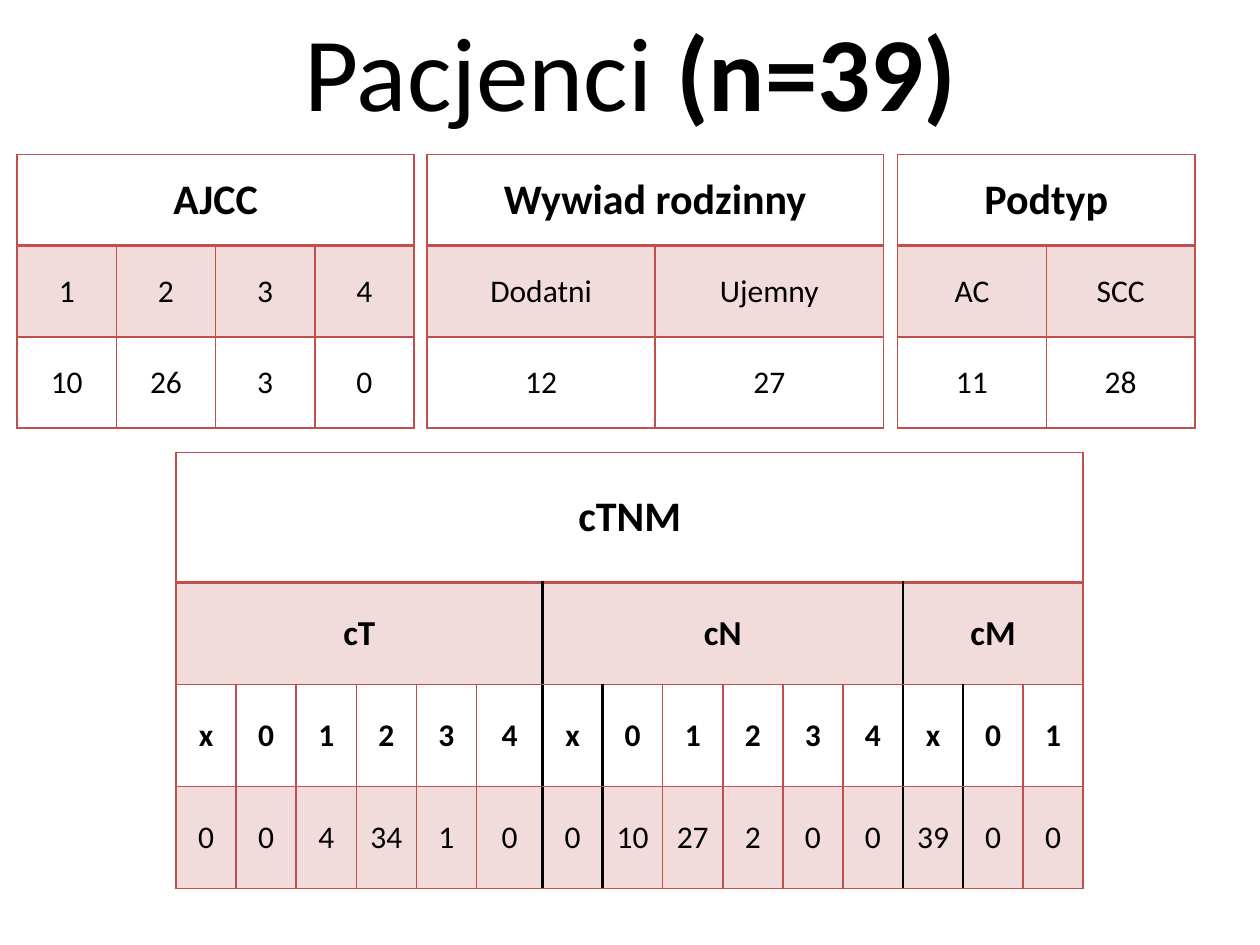
"""Builds a slide of patient characteristics: a title and four tables."""
from lxml import etree
from pptx import Presentation
from pptx.dml.color import RGBColor
from pptx.enum.text import MSO_ANCHOR, PP_ALIGN
from pptx.oxml.ns import qn
from pptx.util import Pt

CENTER = PP_ALIGN.CENTER
MIDDLE = MSO_ANCHOR.MIDDLE
FONT = "Calibri"
COLORS = {"text": "000000", "accent": "C0504D", "divider": "000000"}
TINT = 20

TITLE = [("Pacjenci", False), (" (n=39)", True)]
TOP, ROW = 88.3, 52.1
HEADER, GROUP, LABEL, VALUE = (24, True), (20, True), (18, True), (18, False)

TABLES = [
    {"at": (244, TOP), "cols": [130.4] * 2, "heights": [ROW] * 3,
     "tinted": {1}, "dividers": {}, "rows": [
         (HEADER, [("Wywiad rodzinny", 2)]),
         (VALUE, ["Dodatni", "Ujemny"]),
         (VALUE, ["12", "27"])]},
    {"at": (100.6, 258.5), "cols": [34.34] * 5 + [37.8] + [34.34] * 9,
     "heights": [74.2] + [58.4] * 3,
     "tinted": {1, 3}, "dividers": {6: 1, 12: 1, 7: 2, 13: 2}, "rows": [
         (HEADER, [("cTNM", 15)]),
         (GROUP, [("cT", 6), ("cN", 6), ("cM", 3)]),
         (LABEL, list("x01234x01234x01")),
         (VALUE, ["0", "0", "4", "34", "1", "0", "0", "10", "27", "2",
                  "0", "0", "39", "0", "0"])]},
    {"at": (512.9, TOP), "cols": [85] * 2, "heights": [ROW] * 3,
     "tinted": {1}, "dividers": {}, "rows": [
         (HEADER, [("Podtyp", 2)]),
         (VALUE, ["AC", "SCC"]),
         (VALUE, ["11", "28"])]},
    {"at": (9.8, TOP), "cols": [56.7] * 4, "heights": [ROW] * 3,
     "tinted": {1}, "dividers": {}, "rows": [
         (HEADER, [("AJCC", 4)]),
         (VALUE, ["1", "2", "3", "4"]),
         (VALUE, ["10", "26", "3", "0"])]},
]


def style_run(r, size, bold):
    r.font.name = FONT
    r.font.size = Pt(size)
    r.font.bold = bold
    r.font.color.rgb = RGBColor.from_string(COLORS["text"])


def add_title(slide):
    tf = slide.shapes.add_textbox(Pt(153.4), Pt(0), Pt(414), Pt(80)).text_frame
    tf.word_wrap = True
    p = tf.paragraphs[0]
    p.alignment = CENTER
    for text, bold in TITLE:
        r = p.add_run()
        r.text = text
        style_run(r, 60, bold)


def fill_cell(cell, tinted):
    if not tinted:
        cell.fill.background()
        return
    cell.fill.solid()
    cell.fill.fore_color.rgb = RGBColor.from_string(COLORS["accent"])
    color = cell._tc.tcPr.find(qn("a:solidFill"))[0]
    etree.SubElement(color, qn("a:alpha"), val=str(TINT * 1000))


def set_borders(cell, row, col, dividers):
    def vertical(edge):
        black = edge in dividers and row >= dividers[edge]
        return ("divider", 1.5) if black else ("accent", 1)

    borders = [("a:lnL", vertical(col)), ("a:lnR", vertical(col + 1)),
               ("a:lnT", ("accent", 2 if row == 1 else 1)),
               ("a:lnB", ("accent", 2 if row == 0 else 1))]
    for i, (tag, (color, width)) in enumerate(borders):
        ln = etree.Element(qn(tag), w=str(Pt(width)))
        fill = etree.SubElement(ln, qn("a:solidFill"))
        etree.SubElement(fill, qn("a:srgbClr"), val=COLORS[color])
        cell._tc.get_or_add_tcPr().insert(i, ln)


def add_table(slide, data):
    cols, heights = data["cols"], data["heights"]
    x, y = data["at"]
    table = slide.shapes.add_table(
        len(heights), len(cols), Pt(x), Pt(y),
        Pt(sum(cols)), Pt(sum(heights))).table
    table.first_row = table.horz_banding = False
    for column, width in zip(table.columns, cols):
        column.width = Pt(width)
    for row, ((size, bold), items) in enumerate(data["rows"]):
        table.rows[row].height = Pt(heights[row])
        for col in range(len(cols)):
            cell = table.cell(row, col)
            fill_cell(cell, row in data["tinted"])
            set_borders(cell, row, col, data["dividers"])
        col = 0
        for item in items:
            text, span = (item, 1) if isinstance(item, str) else item
            cell = table.cell(row, col)
            if span > 1:
                cell.merge(table.cell(row, col + span - 1))
            cell.vertical_anchor = MIDDLE
            p = cell.text_frame.paragraphs[0]
            p.text = text
            p.alignment = CENTER
            style_run(p.runs[0], size, bold)
            col += span


def main():
    prs = Presentation()
    prs.slide_width, prs.slide_height = Pt(720), Pt(540)
    slide = prs.slides.add_slide(prs.slide_layouts[6])
    add_title(slide)
    for data in TABLES:
        add_table(slide, data)
    prs.save("out.pptx")


if __name__ == "__main__":
    main()
